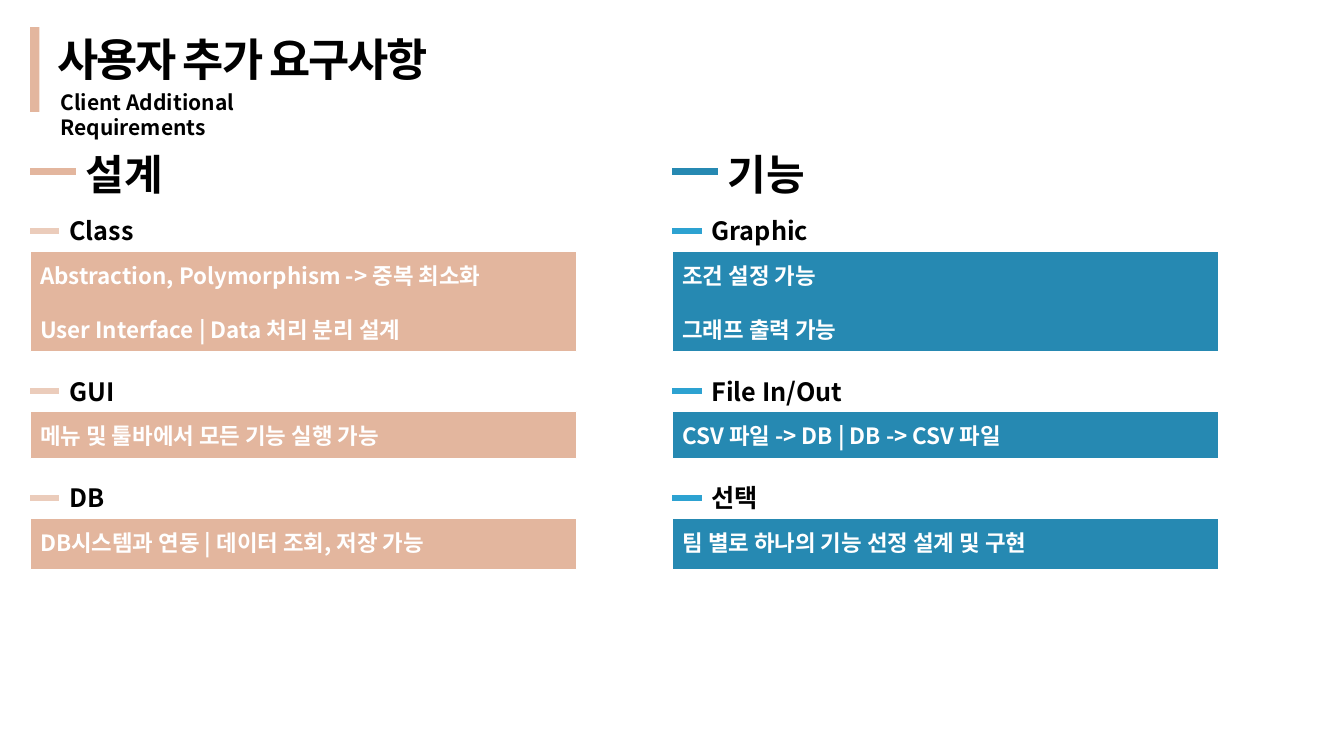
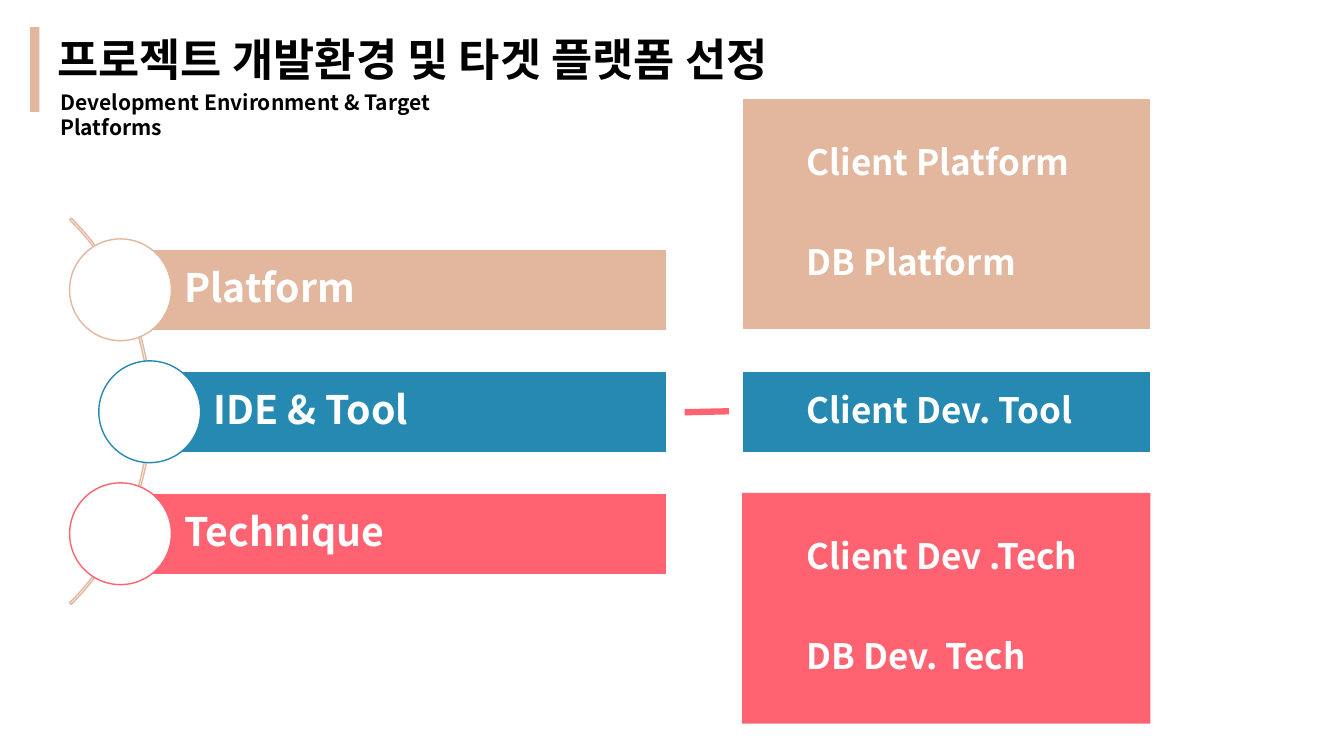
from lxml import etree
from pptx import Presentation
from pptx import util as u
from pptx.dml.color import RGBColor
from pptx.enum import shapes, text
from pptx.oxml.ns import qn

FONT = "Noto Sans CJK KR"
SAND, BLUE, ROSE = "E3B69E", "2689B2", "FF6372"
PALE, SKY = "EBCCBB", "2DA2D1"
WHITE, BLACK = "FFFFFF", "000000"
RECT = shapes.MSO_SHAPE.RECTANGLE
OVAL = shapes.MSO_SHAPE.OVAL
TOP, MID = text.MSO_ANCHOR.TOP, text.MSO_ANCHOR.MIDDLE


def box(slide, kind, area, fill=None, edge=None):
    shape = slide.shapes.add_shape(kind, *[u.Inches(v) for v in area])
    shape.shadow.inherit = False
    if fill:
        shape.fill.solid()
        shape.fill.fore_color.rgb = RGBColor.from_string(fill)
    else:
        shape.fill.background()
    if edge:
        shape.line.color.rgb = RGBColor.from_string(edge)
        shape.line.width = u.Pt(1)
    else:
        shape.line.fill.background()
    return shape


def write(shape, lines, size, color=BLACK, pad=(0.1, 0.05, 0.1, 0.05),
          anchor=TOP, lead=1, gap=0, after=0, track=0):
    frame = shape.text_frame
    frame.word_wrap = True
    frame.vertical_anchor = anchor
    frame.margin_left, frame.margin_top, frame.margin_right, frame.margin_bottom = [
        u.Inches(v) for v in pad]
    for i, line in enumerate(lines):
        para = frame.add_paragraph() if i else frame.paragraphs[0]
        para.alignment = text.PP_ALIGN.LEFT
        para.line_spacing = lead
        para.space_before = u.Pt(gap if i else 0)
        para.space_after = u.Pt(after)
        run = para.add_run()
        run.text = line
        run.font.name = FONT
        run.font.size = u.Pt(size)
        run.font.bold = True
        run.font.color.rgb = RGBColor.from_string(color)
        props = run._r.get_or_add_rPr()
        etree.SubElement(props, qn("a:ea")).set("typeface", FONT)
        if track:
            props.set("spc", str(track))


deck = Presentation()
deck.slide_width, deck.slide_height = u.Inches(13.33), u.Inches(7.5)

heads = [
    ("사용자 추가 요구사항", "Client Additional Requirements", 3, -150),
    ("프로젝트 개발환경 및 타겟 플랫폼 선정", "Development Environment & Target Platforms", 4.5, 0),
]
for title, sub, wide, track in heads:
    slide = deck.slides.add_slide(deck.slide_layouts[6])
    box(slide, RECT, (0.3, 0.27, 0.09, 0.84), SAND)
    write(box(slide, RECT, (0.47, 0.27, 8.6, 0.64)), [title], 32, track=track)
    write(box(slide, RECT, (0.5, 0.84, wide, 0.6)), [sub], 15)
needs, tools = deck.slides

dashes = [(tools, 6.79, 4.09, 7.23, 4.08, ROSE)]

rows = [(2.09, 1), (3.68, 0.47), (4.74, 0.51)]
sides = [
    (0.3, "설계", SAND, PALE, [
        ("Class", ["Abstraction, Polymorphism -> 중복 최소화", "User Interface | Data 처리 분리 설계"]),
        ("GUI", ["메뉴 및 툴바에서 모든 기능 실행 가능"]),
        ("DB", ["DB시스템과 연동 | 데이터 조회, 저장 가능"]),
    ]),
    (6.67, "기능", BLUE, SKY, [
        ("Graphic", ["조건 설정 가능", "그래프 출력 가능"]),
        ("File In/Out", ["CSV 파일 -> DB | DB -> CSV 파일"]),
        ("선택", ["팀 별로 하나의 기능 선정 설계 및 구현"]),
    ]),
]
for left, name, dark, light, parts in sides:
    dashes.append((needs, left, 1.7, left + 0.45, 1.7, dark))
    write(box(needs, RECT, (left + 0.45, 1.42, 1.21, 0.61)), [name], 30)
    for (top, high), (label, lines) in zip(rows, parts):
        dashes.append((needs, left, top + 0.2, left + 0.29, top + 0.2, light))
        write(box(needs, RECT, (left + 0.29, top, 1.97, 0.4)), [label], 18)
        bar = box(needs, RECT, (left, top + 0.4, 5.42, high), dark, WHITE)
        write(bar, lines, 16, WHITE, (0.1, 0.11, 0.1, 0), gap=19.3)

arc = box(tools, shapes.MSO_SHAPE.BLOCK_ARC, (-3.92, 1.37, 5.42, 5.42), edge=SAND)
for i, value in enumerate((189, 27, 0.004)):
    arc.adjustments[i] = value

steps = [
    ("Platform", 1.19, SAND, WHITE, 0.98, 2.29, ["Client Platform", "DB Platform"]),
    ("IDE & Tool", 1.48, BLUE, WHITE, 3.68, 0.81, ["Client Dev. Tool"]),
    ("Technique", 1.19, ROSE, None, 4.89, 2.29, ["Client Dev .Tech", "DB Dev. Tech"]),
]
for i, (name, left, color, edge, top, high, lines) in enumerate(steps):
    y = 2.47 + i * 1.21
    bar = box(tools, RECT, (left, y, 6.61 - left, 0.81), color, WHITE)
    write(bar, [name], 28, WHITE, (0.64, 0.08, 0.08, 0.08), MID, 0.9, after=9.8)
    box(tools, OVAL, (left - 0.5, y - 0.1, 1.01, 1.01), WHITE, color)
    card = box(tools, RECT, (7.36, top, 4.05, high), color, edge)
    write(card, lines, 25, WHITE, (0.64, 0.09, 0.09, 0.09), MID, 0.9, 35.7, 8.75)

for slide, x1, y1, x2, y2, color in dashes:
    line = slide.shapes.add_connector(
        shapes.MSO_CONNECTOR.STRAIGHT, *[u.Inches(v) for v in (x1, y1, x2, y2)])
    line.line.color.rgb = RGBColor.from_string(color)
    line.line.width = u.Pt(4.5)
    etree.SubElement(line._element.spPr, qn("a:effectLst"))

deck.save("out.pptx")
